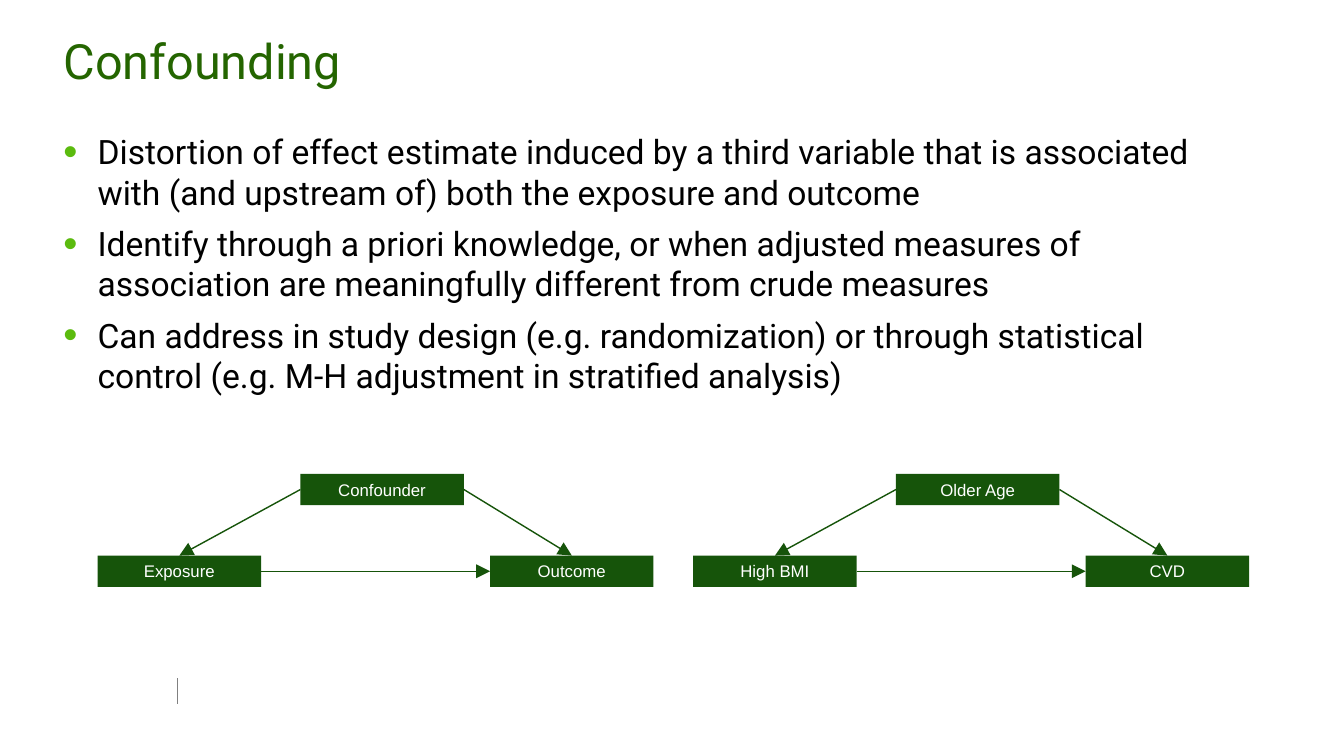
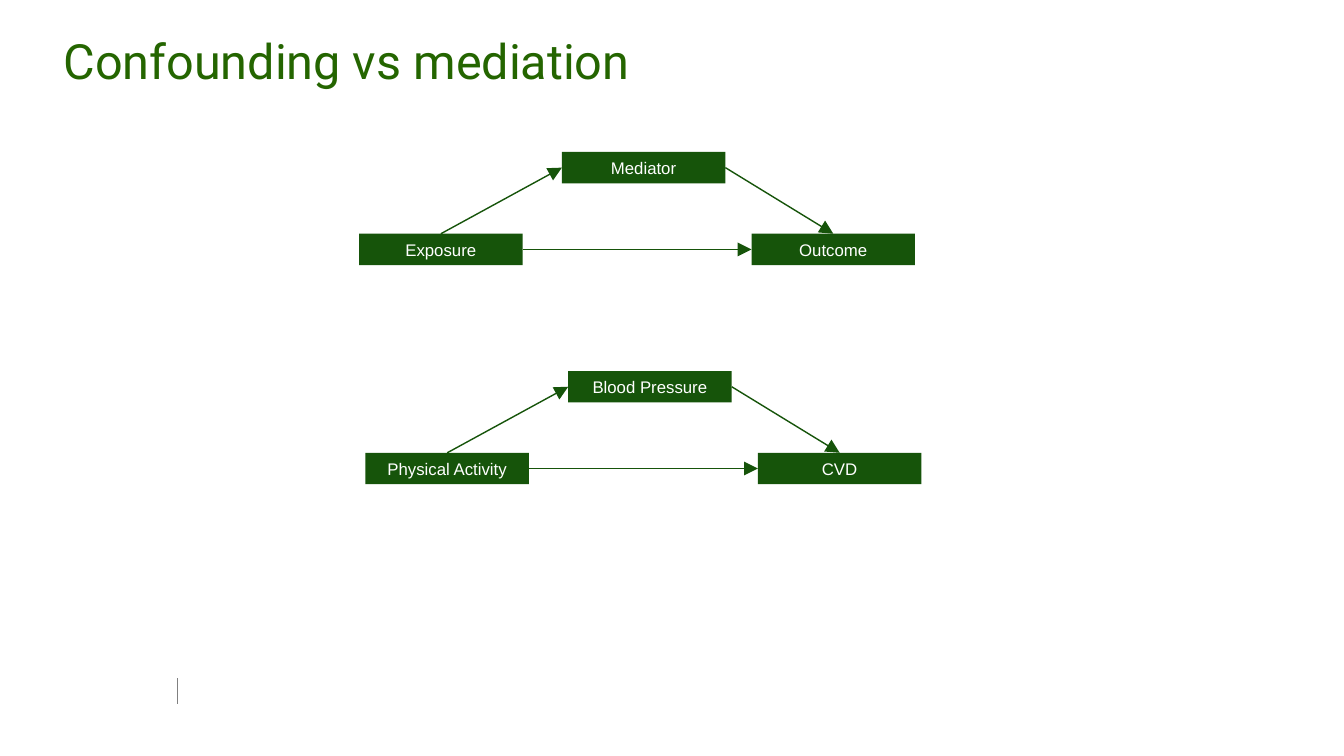
import dataclasses

import lxml.etree
import pptx
import pptx.dml.color
import pptx.enum.shapes
import pptx.enum.text
import pptx.oxml
import pptx.oxml.ns
import pptx.util

Cm = pptx.util.Cm
Pt = pptx.util.Pt
RGB = pptx.dml.color.RGBColor.from_string
SHAPE = pptx.enum.shapes.MSO_SHAPE.RECTANGLE
LINE = pptx.enum.shapes.MSO_CONNECTOR.STRAIGHT
ALIGN = pptx.enum.text.PP_ALIGN
ANCHOR = pptx.enum.text.MSO_ANCHOR
FIT = pptx.enum.text.MSO_AUTO_SIZE


@dataclasses.dataclass(frozen=True)
class Theme:
    title: str = "246500"
    text: str = "000000"
    bullet: str = "5BBB0E"
    node: str = "16540A"
    label: str = "FFFFFF"
    rule: str = "808080"
    font: str = "Roboto"
    sans: str = "Arial"
    title_size: float = 34.7
    text_size: float = 24
    label_size: float = 12


THEME = Theme()

# Diagram geometry in cm: node size, and offsets from the left node
NODE_W, NODE_H = 4.12, 0.79
RIGHT_DX = 9.89
TOP_DX, TOP_DY = 5.11, -2.06

# Connection sites of a rectangle
TOP, LEFT, RIGHT = 0, 1, 3

POINTS = [
    "Distortion of effect estimate induced by a third variable that is associated \v"
    "with (and upstream of) both the exposure and outcome",
    "Identify through a priori knowledge, or when adjusted measures of "
    "association are meaningfully different from crude measures",
    "Can address in study design (e.g. randomization) or through statistical "
    "control (e.g. M-H adjustment in stratified analysis)",
]


def place(shape, left, top, width, height):
    shape.left, shape.top = Cm(left), Cm(top)
    shape.width, shape.height = Cm(width), Cm(height)


def style(para, size, font, color):
    for run in para.runs:
        run.font.size = Pt(size)
        run.font.name = font
        run.font.color.rgb = RGB(color)


def add_xml(parent, tag, **attrs):
    child = lxml.etree.SubElement(parent, pptx.oxml.ns.qn(tag))
    for key, value in attrs.items():
        child.set(key, value)
    return child


def add_line(slide, color, width, ends=(0, 0, 0, 0)):
    line = slide.shapes.add_connector(LINE, *[Cm(end) for end in ends])
    line.line.color.rgb = RGB(color)
    line.line.width = Pt(width)
    add_xml(line._element.spPr, "a:effectLst")
    return line


def add_slide(deck, title):
    """Title-only slide with the shared title style and footer rule."""
    slide = deck.slides.add_slide(deck.slide_layouts[5])
    add_line(slide, THEME.rule, 0.25, (4.47, 17.09, 4.47, 17.75))
    head = slide.shapes.title
    place(head, 1.35, 0.64, 30.33, 1.73)
    frame = head.text_frame
    frame.text = title
    frame.auto_size = FIT.SHAPE_TO_FIT_TEXT
    frame.vertical_anchor = ANCHOR.MIDDLE
    para = frame.paragraphs[0]
    para.alignment = ALIGN.LEFT
    style(para, THEME.title_size, THEME.font, THEME.title)
    return slide


def add_bullets(slide, points):
    box = slide.shapes.add_textbox(Cm(1.35), Cm(3.18), Cm(30.48), Cm(7.21))
    frame = box.text_frame
    frame.word_wrap = True
    for i, point in enumerate(points):
        para = frame.add_paragraph() if i else frame.paragraphs[0]
        para.text = point
        para.space_before = Pt(8)
        style(para, THEME.text_size, THEME.font, THEME.text)
        props = para._p.get_or_add_pPr()
        props.set("marL", str(Cm(0.86)))
        props.set("indent", str(-Cm(0.86)))
        color = add_xml(props, "a:buClr")
        add_xml(color, "a:srgbClr", val=THEME.bullet)
        add_xml(props, "a:buSzPct", val="120000")
        add_xml(props, "a:buFont", typeface=THEME.sans)
        add_xml(props, "a:buChar", char="•")


def add_node(slide, text, left, top):
    node = slide.shapes.add_shape(SHAPE, Cm(left), Cm(top), Cm(NODE_W), Cm(NODE_H))
    node.shadow.inherit = False
    node.fill.solid()
    node.fill.fore_color.rgb = RGB(THEME.node)
    node.line.fill.background()
    frame = node.text_frame
    frame.text = text
    frame.vertical_anchor = ANCHOR.MIDDLE
    para = frame.paragraphs[0]
    para.alignment = ALIGN.CENTER
    style(para, THEME.label_size, THEME.sans, THEME.label)
    return node


def add_arrow(slide, start, start_site, end, end_site):
    arrow = add_line(slide, THEME.node, 1)
    arrow.begin_connect(start, start_site)
    arrow.end_connect(end, end_site)
    add_xml(arrow.line._get_or_add_ln(), "a:tailEnd",
            type="triangle", w="lg", len="lg")


def add_graph(slide, left, top, cause, effect, third, mediates=False):
    """Causal triangle; left and top place the cause node."""
    cause = add_node(slide, cause, left, top)
    effect = add_node(slide, effect, left + RIGHT_DX, top)
    third = add_node(slide, third, left + TOP_DX, top + TOP_DY)
    add_arrow(slide, third, RIGHT, effect, TOP)
    if mediates:
        add_arrow(slide, cause, TOP, third, LEFT)
    else:
        add_arrow(slide, third, LEFT, cause, TOP)
    add_arrow(slide, cause, RIGHT, effect, LEFT)


def main():
    deck = pptx.Presentation()
    deck.slide_width, deck.slide_height = Cm(33.87), Cm(19.05)

    # Confounding
    slide = add_slide(deck, "Confounding")
    add_bullets(slide, POINTS)
    add_graph(slide, 2.46, 14, "Exposure", "Outcome", "Confounder")
    add_graph(slide, 17.47, 14, "High BMI", "CVD", "Older Age")

    # Confounding vs mediation
    slide = add_slide(deck, "Confounding vs mediation")
    add_graph(slide, 9.05, 5.89, "Exposure", "Outcome", "Mediator", True)
    add_graph(slide, 9.21, 11.41, "Physical Activity", "CVD", "Blood Pressure", True)

    deck.save("out.pptx")


if __name__ == "__main__":
    main()
